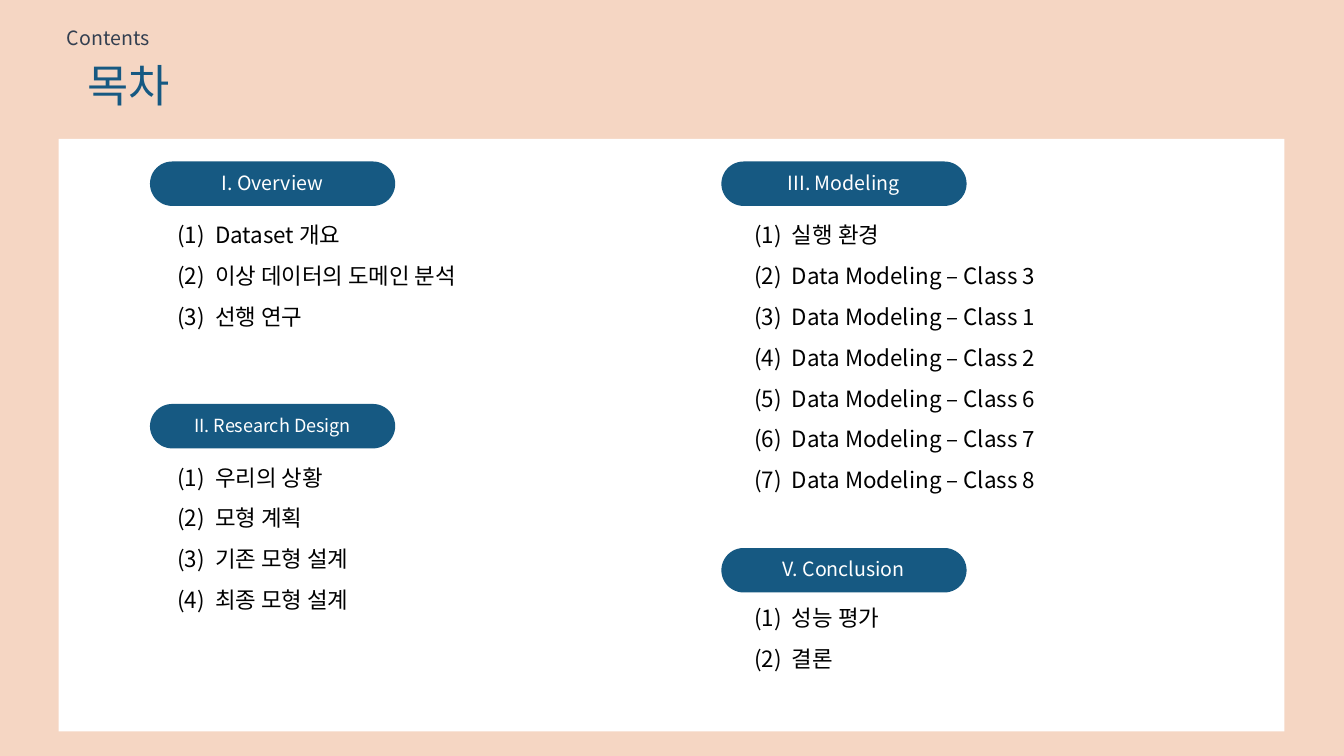
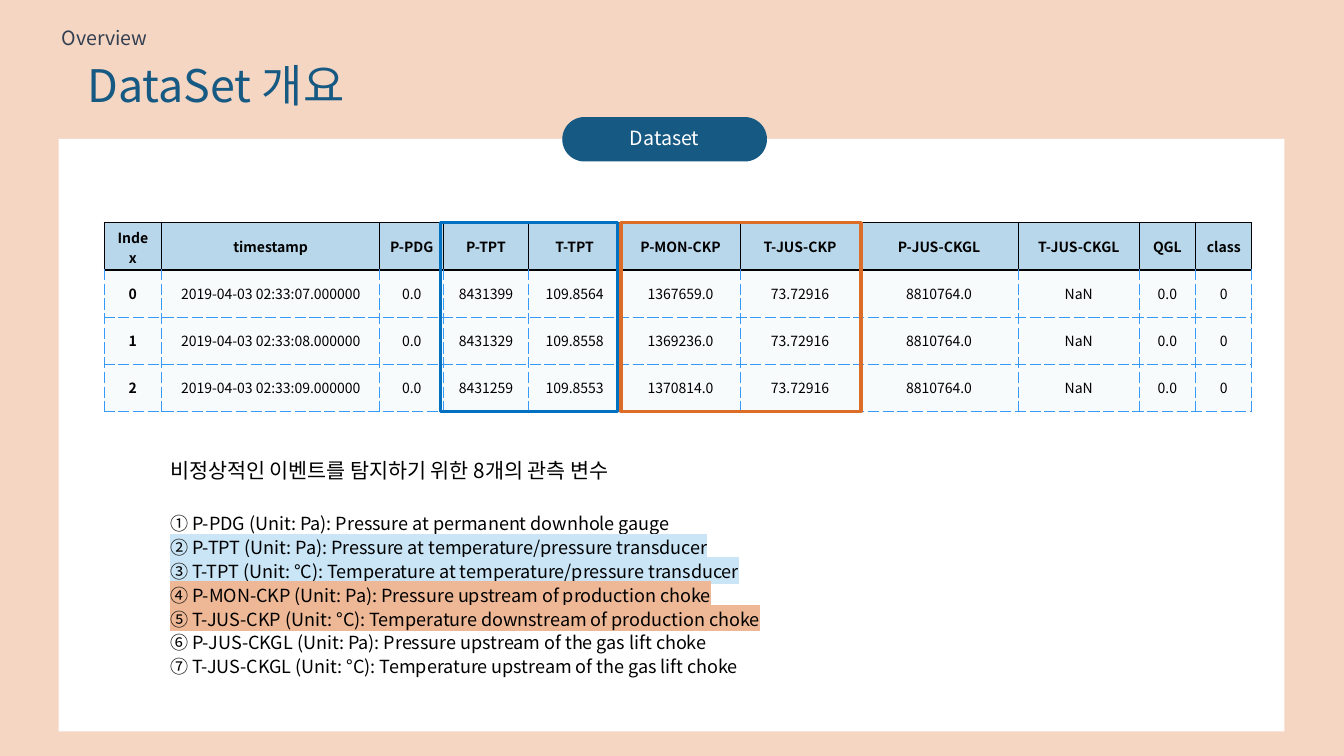
from dataclasses import dataclass
from typing import Optional

from lxml import etree
from pptx import Presentation
from pptx import util as u
from pptx.dml.color import RGBColor
from pptx.enum import shapes, text
from pptx.oxml.ns import qn

FONT = "Noto Sans CJK KR"
PEACH = RGBColor(0xF5, 0xD6, 0xC3)
WHITE = RGBColor(0xFF, 0xFF, 0xFF)
BLACK = RGBColor(0x00, 0x00, 0x00)
NAVY = RGBColor(0x16, 0x59, 0x82)
SLATE = RGBColor(0x33, 0x3F, 0x50)
HEADER_BLUE = RGBColor(0xB9, 0xD7, 0xEA)
CELL_WHITE = RGBColor(0xF7, 0xFB, 0xFC)
GRID_BLUE = RGBColor(0x37, 0x99, 0xFA)
FRAME_BLUE = RGBColor(0x00, 0x70, 0xC0)
FRAME_ORANGE = RGBColor(0xDC, 0x6D, 0x28)
MARK_BLUE = RGBColor(0xCA, 0xE5, 0xF6)
MARK_ORANGE = RGBColor(0xEE, 0xB8, 0x96)

SLIDE_W, SLIDE_H = 33.87, 19.05
PILL_H = 1.12
ROW_H = 1.19
TABLE_LEFT, TABLE_TOP = 2.62, 5.61
COL_WIDTHS = [1.45, 5.5, 1.61, 2.13, 2.34, 3, 3.02, 3.99, 3.05, 1.42, 1.42]


@dataclass(frozen=True)
class Box:
    left: float
    top: float
    width: float
    height: float

    def lengths(self) -> tuple:
        return tuple(u.Cm(v) for v in (self.left, self.top, self.width, self.height))


@dataclass(frozen=True)
class Section:
    label: str
    pill: Box
    items: list[str]
    list_box: Box
    size: float = 14


@dataclass(frozen=True)
class Note:
    text: str
    mark: Optional[RGBColor] = None


@dataclass(frozen=True)
class Frame:
    box: Box
    color: RGBColor


@dataclass(frozen=True)
class Border:
    color: RGBColor
    points: float
    dash: str = "solid"


GRID = Border(GRID_BLUE, 0.75, "dash")
HEADER_LINE = Border(BLACK, 0.75)
HEADER_RULE = Border(BLACK, 1.5)

SECTIONS = [
    Section("I. Overview", Box(3.78, 4.07, 6.18, PILL_H),
            ["Dataset 개요", "이상 데이터의 도메인 분석", "선행 연구"],
            Box(4.22, 5.45, 8.5, 5.84)),
    Section("II. Research Design", Box(3.78, 10.18, 6.18, PILL_H),
            ["우리의 상황", "모형 계획", "기존 모형 설계", "최종 모형 설계"],
            Box(4.22, 11.56, 8.5, 4.88), 12.9),
    Section("III. Modeling", Box(18.18, 4.07, 6.18, PILL_H),
            ["실행 환경"] + [f"Data Modeling – Class {n}" for n in (3, 1, 2, 6, 7, 8)],
            Box(18.76, 5.45, 8.8, 7.93)),
    Section("V. Conclusion", Box(18.18, 13.81, 6.18, PILL_H),
            ["성능 평가", "결론"],
            Box(18.76, 15.09, 6.73, 2.41)),
]

TABLE_ROWS = [
    ["Index", "timestamp", "P-PDG", "P-TPT", "T-TPT", "P-MON-CKP", "T-JUS-CKP",
     "P-JUS-CKGL", "T-JUS-CKGL", "QGL", "class"],
    ["0", "2019-04-03 02:33:07.000000", "0.0", "8431399", "109.8564", "1367659.0",
     "73.72916", "8810764.0", "NaN", "0.0", "0"],
    ["1", "2019-04-03 02:33:08.000000", "0.0", "8431329", "109.8558", "1369236.0",
     "73.72916", "8810764.0", "NaN", "0.0", "0"],
    ["2", "2019-04-03 02:33:09.000000", "0.0", "8431259", "109.8553", "1370814.0",
     "73.72916", "8810764.0", "NaN", "0.0", "0"],
]

FRAMES = [
    Frame(Box(11.1, TABLE_TOP, 4.47, 4 * ROW_H), FRAME_BLUE),
    Frame(Box(15.65, TABLE_TOP, 6.05, 4 * ROW_H), FRAME_ORANGE),
]

NOTES_HEADING = "비정상적인 이벤트를 탐지하기 위한 8개의 관측 변수"
NOTES = [
    Note("① P-PDG (Unit: Pa): Pressure at permanent downhole gauge"),
    Note("② P-TPT (Unit: Pa): Pressure at temperature/pressure transducer", MARK_BLUE),
    Note("③ T-TPT (Unit: °C): Temperature at temperature/pressure transducer", MARK_BLUE),
    Note("④ P-MON-CKP (Unit: Pa): Pressure upstream of production choke", MARK_ORANGE),
    Note("⑤ T-JUS-CKP (Unit: °C): Temperature downstream of production choke", MARK_ORANGE),
    Note("⑥ P-JUS-CKGL (Unit: Pa): Pressure upstream of the gas lift choke"),
    Note("⑦ T-JUS-CKGL (Unit: °C): Temperature upstream of the gas lift choke"),
]


def style_runs(p, size: float, color: RGBColor, bold: bool = False) -> None:
    for r in p.runs:
        r.font.size = u.Pt(size)
        r.font.bold = bold
        r.font.color.rgb = color
        r.font.name = FONT
        ea = etree.Element(qn("a:ea"), typeface=FONT)
        r.font._element.find(qn("a:latin")).addnext(ea)


def highlight(p, color: RGBColor) -> None:
    for r in p.runs:
        mark = etree.Element(qn("a:highlight"))
        etree.SubElement(mark, qn("a:srgbClr"), val=str(color))
        r.font._element.find(qn("a:solidFill")).addnext(mark)


def add_block(s, box: Box, fill: Optional[RGBColor] = None, line: Optional[RGBColor] = None,
              kind=shapes.MSO_SHAPE.RECTANGLE):
    sp = s.shapes.add_shape(kind, *box.lengths())
    sp.shadow.inherit = False
    if fill is None:
        sp.fill.background()
    else:
        sp.fill.solid()
        sp.fill.fore_color.rgb = fill
    if line is None:
        sp.line.fill.background()
    else:
        sp.line.color.rgb = line
        sp.line.width = u.Pt(2.25)
    return sp


def add_text_box(s, box: Box, lines: list[str], anchor=text.MSO_ANCHOR.TOP):
    tf = s.shapes.add_textbox(*box.lengths()).text_frame
    tf.word_wrap = True
    tf.vertical_anchor = anchor
    tf.text = "\n".join(lines)
    return tf


def add_line(s, box: Box, label: str, size: float, color: RGBColor,
             align=text.PP_ALIGN.LEFT, anchor=text.MSO_ANCHOR.TOP) -> None:
    p = add_text_box(s, box, [label], anchor).paragraphs[0]
    p.alignment = align
    p.line_spacing = 0.9
    style_runs(p, size, color)


def add_pill(s, box: Box, label: str, size: float = 14) -> None:
    sp = add_block(s, box, NAVY, kind=shapes.MSO_SHAPE.ROUNDED_RECTANGLE)
    sp.adjustments[0] = 0.5
    tf = sp.text_frame
    tf.text = label
    tf.vertical_anchor = text.MSO_ANCHOR.MIDDLE
    p = tf.paragraphs[0]
    p.alignment = text.PP_ALIGN.CENTER
    p.line_spacing = 0.9
    style_runs(p, size, WHITE)


def add_numbered_list(s, box: Box, items: list[str]) -> None:
    indent = u.Cm(0.95)
    for i, p in enumerate(add_text_box(s, box, items).paragraphs):
        pPr = p._p.get_or_add_pPr()
        pPr.set("marL", str(indent))
        pPr.set("indent", str(-indent))
        etree.SubElement(pPr, qn("a:buFont"), typeface=FONT)
        etree.SubElement(pPr, qn("a:buAutoNum"), type="arabicParenBoth")
        if i:
            p.space_before = u.Pt(10)
        style_runs(p, 16, BLACK)


def set_borders(cell, borders: dict[str, Border]) -> None:
    tcPr = cell._tc.get_or_add_tcPr()
    for i, (side, border) in enumerate(borders.items()):
        ln = etree.Element(qn(f"a:ln{side}"), w=str(u.Pt(border.points)))
        fill = etree.SubElement(ln, qn("a:solidFill"))
        etree.SubElement(fill, qn("a:srgbClr"), val=str(border.color))
        etree.SubElement(ln, qn("a:prstDash"), val=border.dash)
        tcPr.insert(i, ln)


def add_data_table(s) -> None:
    box = Box(TABLE_LEFT, TABLE_TOP, sum(COL_WIDTHS), ROW_H * len(TABLE_ROWS))
    table = s.shapes.add_table(len(TABLE_ROWS), len(COL_WIDTHS), *box.lengths()).table
    table.horz_banding = False
    for col, width in zip(table.columns, COL_WIDTHS):
        col.width = u.Cm(width)
    for i, values in enumerate(TABLE_ROWS):
        table.rows[i].height = u.Cm(ROW_H)
        header = i == 0
        borders = dict.fromkeys("LRTB", HEADER_LINE if header else GRID)
        if header:
            borders["B"] = HEADER_RULE
        elif i == 1:
            borders["T"] = HEADER_RULE
        for j, value in enumerate(values):
            cell = table.cell(i, j)
            cell.text = value
            cell.vertical_anchor = text.MSO_ANCHOR.MIDDLE
            cell.fill.solid()
            cell.fill.fore_color.rgb = HEADER_BLUE if header else CELL_WHITE
            set_borders(cell, borders)
            p = cell.text_frame.paragraphs[0]
            p.alignment = text.PP_ALIGN.CENTER
            style_runs(p, 10, BLACK, header or j == 0)


def add_notes_text(s) -> None:
    tf = add_text_box(s, Box(4.04, 11.35, 27.5, 6.07),
                      [NOTES_HEADING] + [note.text for note in NOTES])
    heading, *lines = tf.paragraphs
    heading.line_spacing = 1.1
    style_runs(heading, 14.8, BLACK)
    lines[0].space_before = u.Pt(20)
    for p, note in zip(lines, NOTES):
        p.line_spacing = 1.1
        style_runs(p, 12.9, BLACK)
        if note.mark is not None:
            highlight(p, note.mark)


def add_framed_slide(prs, title: str):
    s = prs.slides.add_slide(prs.slide_layouts[6])
    add_block(s, Box(0, 0, SLIDE_W, SLIDE_H), PEACH)
    add_block(s, Box(1.48, 3.5, 30.89, 14.93), WHITE)
    add_line(s, Box(1.95, 0.93, 29.59, 2.56), title, 32, NAVY,
             anchor=text.MSO_ANCHOR.MIDDLE)
    return s


def build_contents(prs) -> None:
    s = add_framed_slide(prs, "목차")
    add_line(s, Box(1.16, 0.6, 3.14, 0.85), "Contents", 14, SLATE, text.PP_ALIGN.CENTER)
    for section in SECTIONS:
        add_pill(s, section.pill, section.label, section.size)
        add_numbered_list(s, section.list_box, section.items)


def build_dataset(prs) -> None:
    s = add_framed_slide(prs, "DataSet 개요")
    add_line(s, Box(1.3, 0.6, 6.3, 0.85), "Overview", 14, SLATE)
    add_pill(s, Box(14.17, 2.95, 5.16, PILL_H), "Dataset")
    add_notes_text(s)
    add_data_table(s)
    for frame in FRAMES:
        add_block(s, frame.box, line=frame.color)


def main() -> None:
    prs = Presentation()
    prs.slide_width, prs.slide_height = u.Cm(SLIDE_W), u.Cm(SLIDE_H)
    build_contents(prs)
    build_dataset(prs)
    prs.save("out.pptx")


if __name__ == "__main__":
    main()
